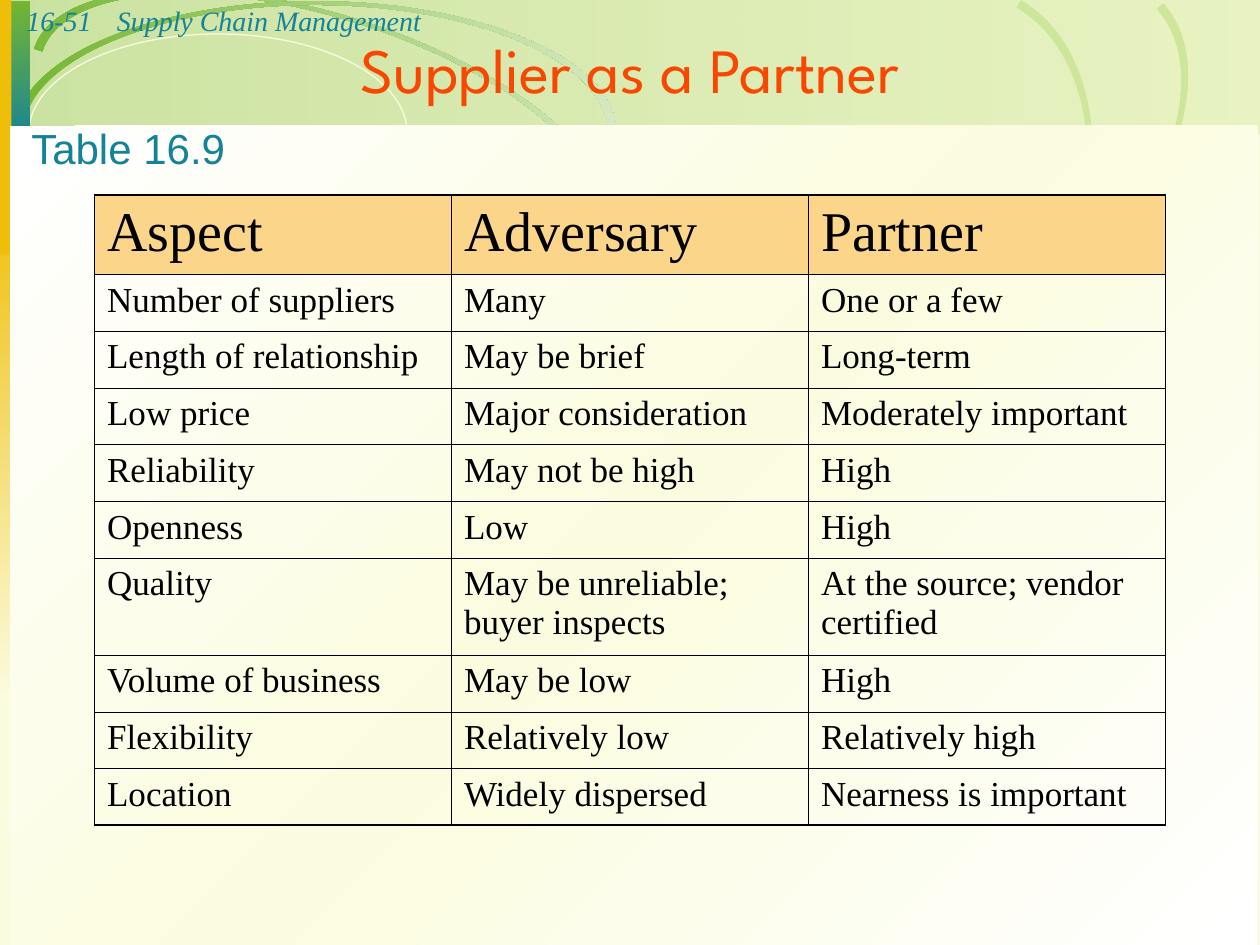
from lxml import etree
from pptx import Presentation
from pptx.dml.color import RGBColor
from pptx.enum.shapes import MSO_SHAPE as Shape
from pptx.enum.text import MSO_ANCHOR as Anchor, MSO_AUTO_SIZE as AutoSize, PP_ALIGN as Align
from pptx.oxml.ns import qn
from pptx.util import Inches, Pt

CREAM = RGBColor(0xFB, 0xFC, 0xDF)
WHITE = RGBColor(0xFF, 0xFF, 0xFF)
BLACK = RGBColor(0x00, 0x00, 0x00)
GREEN = RGBColor(0x74, 0xB6, 0x32)
LIME = RGBColor(0xBC, 0xDD, 0x7B)
PALE_GREEN = RGBColor(0xD5, 0xE9, 0xC1)
SOFT_GREEN = RGBColor(0xCD, 0xE6, 0x9A)
TEAL = RGBColor(0x14, 0x82, 0x98)
OLIVE = RGBColor(0xCE, 0xDE, 0x73)
GOLD = RGBColor(0xEF, 0xBE, 0x09)
ORANGE = RGBColor(0xF8, 0x47, 0x00)
PEACH = RGBColor(0xFB, 0xD5, 0x89)

SERIF = "Times New Roman"
CURVE = 0.55
THIN, THICK = 0.45, 1.08

ASPECTS = [
    ("Aspect", "Adversary", "Partner"),
    ("Number of suppliers", "Many", "One or a few"),
    ("Length of relationship", "May be brief", "Long-term"),
    ("Low price", "Major consideration", "Moderately important"),
    ("Reliability", "May not be high", "High"),
    ("Openness", "Low", "High"),
    ("Quality", "May be unreliable; buyer inspects", "At the source; vendor certified"),
    ("Volume of business", "May be low", "High"),
    ("Flexibility", "Relatively low", "Relatively high"),
    ("Location", "Widely dispersed", "Nearness is important"),
]


def paint_solid(shape, color):
    shape.fill.solid()
    shape.fill.fore_color.rgb = color


def paint_gradient(shape, colors, angle, opacities=None):
    shape.fill.gradient()
    gradient = shape.fill._xPr.find(qn("a:gradFill"))
    for child in list(gradient):
        gradient.remove(child)
    stops = etree.SubElement(gradient, qn("a:gsLst"))
    for index, color in enumerate(colors):
        position = 100000 * index // (len(colors) - 1)
        stop = etree.SubElement(stops, qn("a:gs"), pos=str(position))
        tint = etree.SubElement(stop, qn("a:srgbClr"), val=str(color))
        if opacities:
            etree.SubElement(tint, qn("a:alpha"), val=str(opacities[index] * 1000))
    etree.SubElement(gradient, qn("a:lin"), ang=str(angle * 60000), scaled="0")


def strip_outline(shape):
    shape.shadow.inherit = False
    shape.line.fill.background()
    return shape


def add_plain_shape(slide, kind, left, top, width, height):
    return strip_outline(slide.shapes.add_shape(
        kind, Inches(left), Inches(top), Inches(width), Inches(height)))


def add_crescent(slide, left, top, width, height, rotation=0, lower=False):
    builder = slide.shapes.build_freeform(Inches(left), Inches(top))
    right, bottom = left + width, top + height
    builder.add_line_segments([(Inches(x), Inches(y)) for x, y in
                               ((right, top), (right, bottom), (left, bottom))])
    crescent = strip_outline(builder.convert_to_shape())
    outline = crescent._element.find(".//" + qn("a:path"))
    for child in list(outline):
        outline.remove(child)

    def draw(command, radii, points):
        step = etree.SubElement(outline, qn(f"a:{command}"))
        for x, y in points:
            across = Inches(width / 2 + x * radii[0])
            down = Inches(height / 2 + y * radii[1])
            etree.SubElement(step, qn("a:pt"), x=str(across), y=str(down))

    peak = 1 if lower else -1
    outer = (width / 2, height / 2)
    inner = (width / 2 - 0.07, height / 2 - 0.03)
    for command, radii, side in (("moveTo", outer, -1), ("lnTo", inner, 1)):
        draw(command, radii, [(side, 0)])
        draw("cubicBezTo", radii, [(side, CURVE * peak), (side * CURVE, peak), (0, peak)])
        draw("cubicBezTo", radii, [(-side * CURVE, peak), (-side, CURVE * peak), (-side, 0)])
    etree.SubElement(outline, qn("a:close"))
    crescent.rotation = rotation
    return crescent


def add_backdrop(slide):
    slide.background.fill.solid()
    slide.background.fill.fore_color.rgb = CREAM

    header = add_plain_shape(slide, Shape.RECTANGLE, 0.01, 0, 10, 1.06)
    paint_gradient(header, (GREEN, LIME), 0, (36, 29))
    tilted_arc = add_crescent(slide, 0.16, 0.11, 4.77, 1.99, 17.5)
    paint_gradient(tilted_arc, (GREEN, PALE_GREEN), 342)

    ring = add_plain_shape(slide, Shape.OVAL, 0.23, 0.27, 3, 1.56)
    ring.fill.background()
    ring.line.color.rgb = CREAM
    ring.line.width = Pt(0.75)

    fading_edge = add_plain_shape(slide, Shape.RECTANGLE, 0, 1.55, 0.22, 4.01)
    paint_gradient(fading_edge, (GOLD, CREAM), 90)

    for box in ((5.07, 0.32, 4.77, 2.59, 318.2), (4.5, 0.52, 4.77, 3.06, 300.7)):
        paint_solid(add_crescent(slide, *box, lower=True), SOFT_GREEN)
    level_arc = add_crescent(slide, 0.12, 0.01, 4.77, 2.07)
    paint_gradient(level_arc, (GREEN, PALE_GREEN), 0)

    corner = add_plain_shape(slide, Shape.RECTANGLE, 0.01, 0.01, 0.23, 1.14)
    paint_gradient(corner, (GREEN, TEAL), 90)
    rainbow = (TEAL, OLIVE, GOLD, ORANGE, CREAM)
    bands = ((0.08, 1.84), (1.9, 1.84), (3.73, 1.84), (5.55, 3.65))
    for (left, width), colors in zip(bands, zip(rainbow, rainbow[1:])):
        band = add_plain_shape(slide, Shape.RECTANGLE, left, 1.06, width, 0.08)
        paint_gradient(band, colors, 0)
    paint_solid(add_plain_shape(slide, Shape.RECTANGLE, 0, 0, 0.09, 2.02), GOLD)
    panel = add_plain_shape(slide, Shape.RECTANGLE, 0.08, 1, 9.9, 6.5)
    paint_gradient(panel, (WHITE, CREAM, WHITE), 45)


def format_text(paragraph, font_name, size, color, italic=False):
    for run in paragraph.runs:
        run.font.name = font_name
        run.font.size = Pt(size)
        run.font.color.rgb = color
        run.font.italic = italic


def add_label(slide, text, left, top, width, height, font_name, size, italic=False):
    label = slide.shapes.add_textbox(Inches(left), Inches(top), Inches(width), Inches(height))
    label.text_frame.word_wrap = True
    label.text_frame.text = text
    format_text(label.text_frame.paragraphs[0], font_name, size, TEAL, italic)
    return label


def place_title(slide, text):
    title = slide.shapes.title
    title.left, title.top, title.width, title.height = Inches(0), Inches(0.04), Inches(10), Inches(1)
    frame = title.text_frame
    frame.text = text
    frame.auto_size = AutoSize.NONE
    frame.vertical_anchor = Anchor.MIDDLE
    frame.paragraphs[0].alignment = Align.CENTER
    format_text(frame.paragraphs[0], "League Spartan", 36, ORANGE)
    slide.shapes._spTree.append(title._element)


def set_borders(cell, widths):
    properties = cell._tc.get_or_add_tcPr()
    for index, (side, width) in enumerate(zip("LRTB", widths)):
        border = etree.Element(qn(f"a:ln{side}"), w=str(Pt(width)))
        ink = etree.SubElement(border, qn("a:solidFill"))
        etree.SubElement(ink, qn("a:srgbClr"), val=str(BLACK))
        properties.insert(index, border)


def add_comparison(slide):
    row_count, column_count = len(ASPECTS), len(ASPECTS[0])
    table = slide.shapes.add_table(row_count, column_count, Inches(0.75), Inches(1.55),
                                   Inches(8.5), Inches(5)).table
    table.first_row = table.horz_banding = False
    for row_index, entries in enumerate(ASPECTS):
        is_header = row_index == 0
        is_double = entries[0] == "Quality"
        table.rows[row_index].height = Inches(0.63 if is_header else 0.77 if is_double else 0.45)
        for column_index, entry in enumerate(entries):
            cell = table.cell(row_index, column_index)
            cell.text_frame.text = entry
            format_text(cell.text_frame.paragraphs[0], SERIF, 32 if is_header else 20, BLACK)
            if is_header:
                paint_solid(cell, PEACH)
            else:
                cell.fill.background()
            outer_sides = (column_index == 0, column_index == column_count - 1,
                           is_header, row_index == row_count - 1)
            set_borders(cell, [THICK if outer else THIN for outer in outer_sides])


def main():
    deck = Presentation()
    deck.slide_width, deck.slide_height = Inches(10), Inches(7.5)
    slide = deck.slides.add_slide(deck.slide_layouts[5])
    add_backdrop(slide)
    page_number = add_label(slide, "16-51", 0, -0.02, 1.23, 0.37, SERIF, 16, italic=True)
    page_number.text_frame.margin_left = Inches(0.21)
    add_label(slide, "Supply Chain Management", 0.83, -0.02, 8.5, 0.37, SERIF, 16, italic=True)
    place_title(slide, "Supplier as a Partner")
    add_comparison(slide)
    caption = add_label(slide, "Table 16.9", 0.15, 0.92, 1.77, 0.5, "Arial", 24)
    caption.text_frame.word_wrap = False
    deck.save("out.pptx")


if __name__ == "__main__":
    main()
